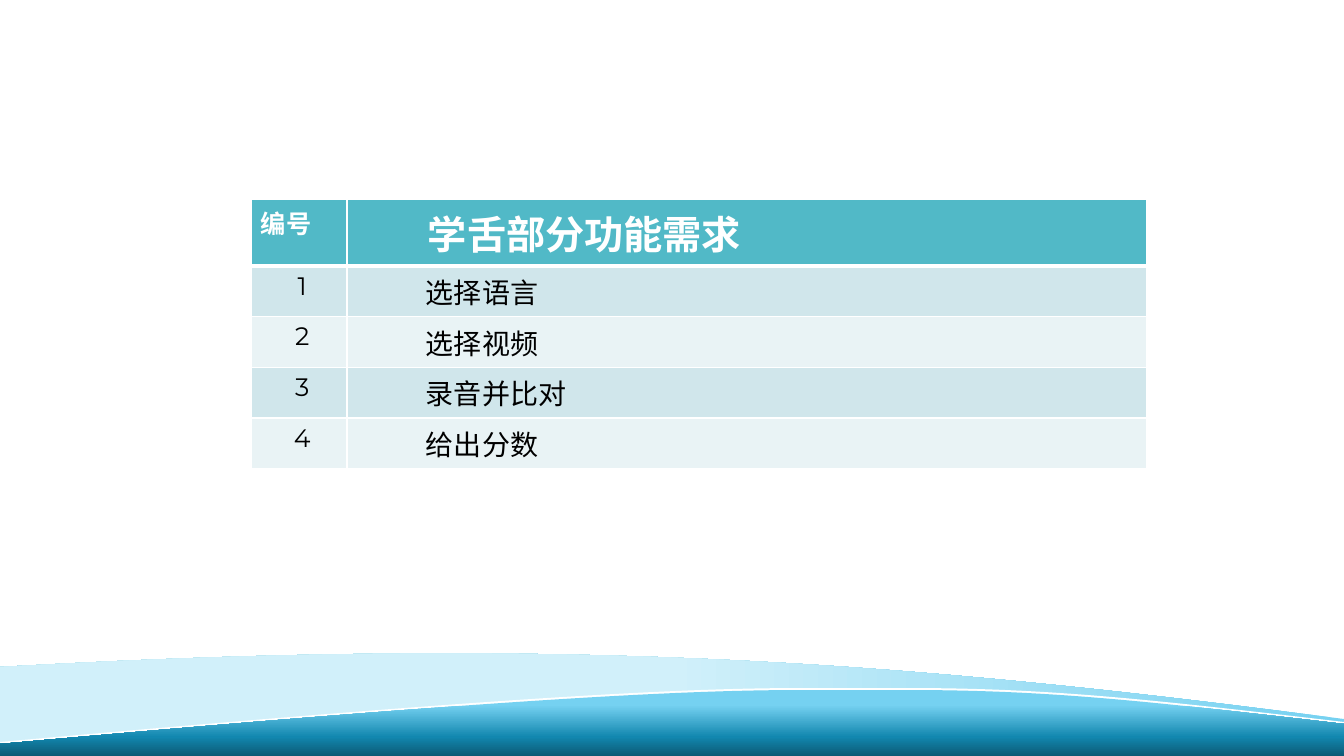
from copy import deepcopy

from lxml import etree
from pptx import Presentation
from pptx.dml.color import RGBColor
from pptx.enum.text import PP_ALIGN
from pptx.oxml.ns import qn
from pptx.util import Pt

CENTER = PP_ALIGN.CENTER
LEFT = PP_ALIGN.LEFT
EMU_PER_PX = 914400 / 100.8
WIDTH, HEIGHT = 1344, 756

WHITE = RGBColor(0xFF, 0xFF, 0xFF)
BLACK = RGBColor(0x00, 0x00, 0x00)
TEAL = RGBColor(0x51, 0xB9, 0xC7)
BAND_DARK = RGBColor(0xD0, 0xE6, 0xEB)
BAND_LIGHT = RGBColor(0xE9, 0xF3, 0xF5)
SKY = RGBColor(0x75, 0xD1, 0xF1)
PALE_SKY = RGBColor(0xD1, 0xF0, 0xFA)
OCEAN = RGBColor(0x12, 0x87, 0xAF)
DEEP_OCEAN = RGBColor(0x0C, 0x5A, 0x75)

BACK_TOP = [(0, 667), (597, 633), (940, 667), (1344, 719)]
BACK_BOTTOM = [(1344, 739), (879, 646), (487, 724), (0, 747)]
RIDGE = [(0, 742), (523, 695), (694, 688), (804, 688), (842, 688),
         (872, 688), (906, 688), (1044, 688), (1140, 698), (1344, 722)]

HEADER = ("编号", "学舌部分功能需求")
FEATURES = ("选择语言", "选择视频", "录音并比对", "给出分数")


def px(n):
    return round(n * EMU_PER_PX)


def lower(points, distance):
    return [(x, y + distance) for x, y in points]


class Deck:
    font = "Montserrat"

    def __init__(self, prs):
        self.s = prs.slides.add_slide(prs.slide_layouts[6])

    def wave(self, points, kinds, stops, angle=0, crop=0):
        corners = [(px(x), px(y)) for x, y in points]
        builder = self.s.shapes.build_freeform(*corners[0])
        builder.add_line_segments(corners[1:], close=True)
        sp = builder.convert_to_shape()
        outline = next(sp.element.iter(qn("a:path")))
        self.bend(outline, kinds)
        self.crop_top(sp, outline, px(crop))
        sp.shadow.inherit = False
        sp.line.fill.background()
        if len(stops) == 1:
            sp.fill.solid()
            sp.fill.fore_color.rgb = stops[0][1]
            return
        sp.fill.gradient()
        sp.fill.gradient_angle = angle
        stop_list = sp.element.spPr.find(qn("a:gradFill")).find(qn("a:gsLst"))
        while len(stop_list) < len(stops):
            stop_list.append(deepcopy(stop_list[0]))
        for stop, (position, color) in zip(sp.fill.gradient_stops, stops):
            stop.position = position
            stop.color.rgb = color

    def bend(self, outline, kinds):
        segments = iter(outline.findall(qn("a:lnTo")))
        for kind in kinds:
            first = next(segments)
            if kind == "C":
                curve = etree.Element(qn("a:cubicBezTo"))
                first.addprevious(curve)
                for segment in (first, next(segments), next(segments)):
                    curve.append(segment[0])
                    outline.remove(segment)

    def crop_top(self, sp, outline, amount):
        sp.top += amount
        sp.height -= amount
        outline.set("h", str(sp.height))
        for point in outline.iter(qn("a:pt")):
            point.set("y", str(int(point.get("y")) - amount))

    def table(self, x, y, widths, heights):
        frame = self.s.shapes.add_table(len(heights), len(widths), px(x), px(y),
                                        px(sum(widths)), px(sum(heights)))
        for column, width in zip(frame.table.columns, widths):
            column.width = px(width)
        for row, height in zip(frame.table.rows, heights):
            row.height = px(height)
        return frame.table

    def cell(self, cell, text, size, color, fill, indent, align=LEFT,
             bold=False, top=1, bottom=1):
        self.borders(cell, (("L", 1), ("R", 1), ("T", top), ("B", bottom)))
        cell.fill.solid()
        cell.fill.fore_color.rgb = fill
        cell.margin_left = px(indent)
        cell.text_frame.text = text
        p = cell.text_frame.paragraphs[0]
        p.alignment = align
        r = p.runs[0]
        r.font.name = self.font
        r.font.size = Pt(size)
        r.font.bold = bold
        r.font.color.rgb = color

    def borders(self, cell, sides):
        properties = cell._tc.get_or_add_tcPr()
        for side, points in sides:
            line = etree.SubElement(properties, qn("a:ln" + side), w=str(Pt(points)))
            fill = etree.SubElement(line, qn("a:solidFill"))
            etree.SubElement(fill, qn("a:srgbClr"), val=str(WHITE))


def main():
    prs = Presentation()
    prs.slide_width, prs.slide_height = px(WIDTH), px(HEIGHT)
    deck = Deck(prs)

    deck.wave(BACK_TOP + BACK_BOTTOM, "CLC", [(0, SKY), (0.5, PALE_SKY)], 180, crop=20)
    deck.wave(RIDGE + lower(RIDGE, 10)[::-1], "CCCLCCC", [(0, WHITE)])
    deck.wave(lower(RIDGE, 2) + [(WIDTH, HEIGHT), (0, HEIGHT)], "CCCLL",
              [(0.23, SKY), (0.71, OCEAN), (1, DEEP_OCEAN)], 270)

    table = deck.table(251, 199, [96, 800], [62] + [50] * len(FEATURES))
    for column, (text, size, indent) in enumerate(zip(HEADER, (18, 28), (10, 81))):
        deck.cell(table.cell(0, column), text, size, WHITE, TEAL, indent,
                  bold=True, bottom=3)
    for number, feature in enumerate(FEATURES, 1):
        band = BAND_DARK if number % 2 else BAND_LIGHT
        top = 3 if number == 1 else 1
        deck.cell(table.cell(number, 0), f" {number}", 18, BLACK, band, 10, CENTER, top=top)
        deck.cell(table.cell(number, 1), feature, 20, BLACK, band, 79, top=top)

    prs.save("out.pptx")


if __name__ == "__main__":
    main()
